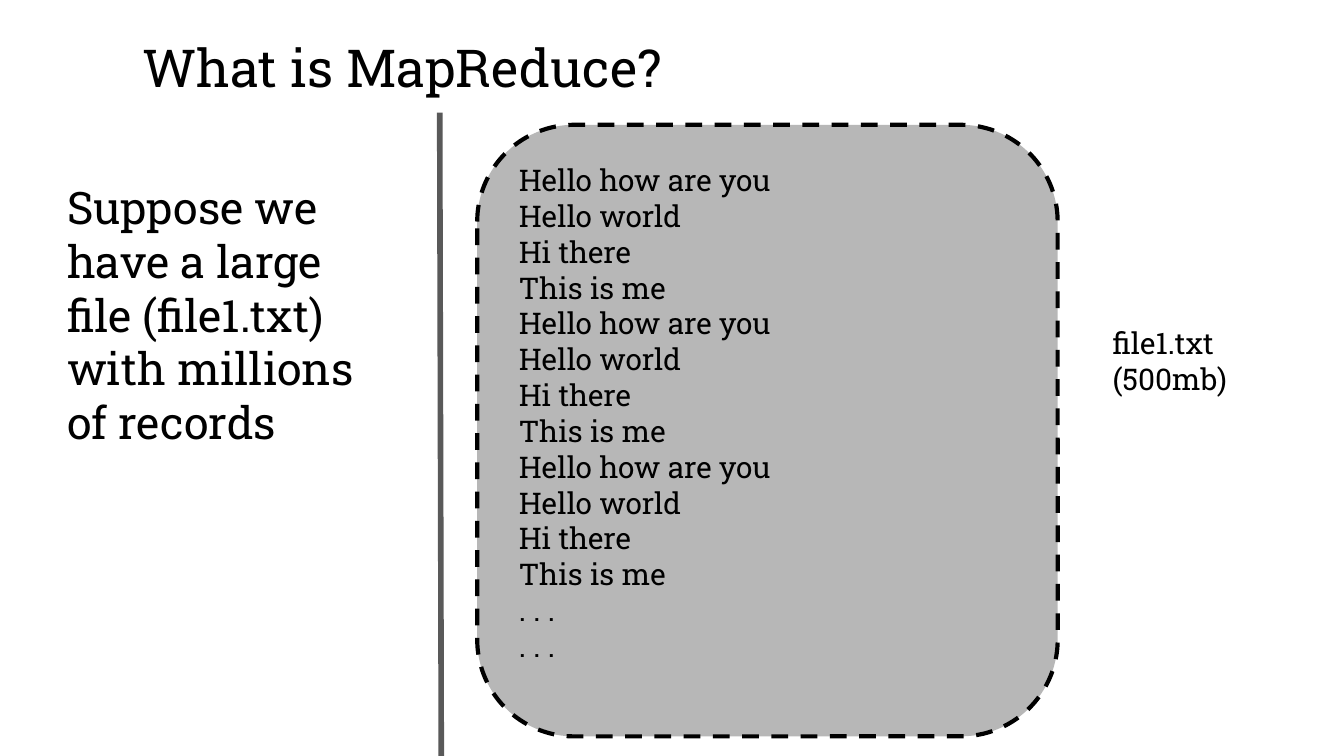
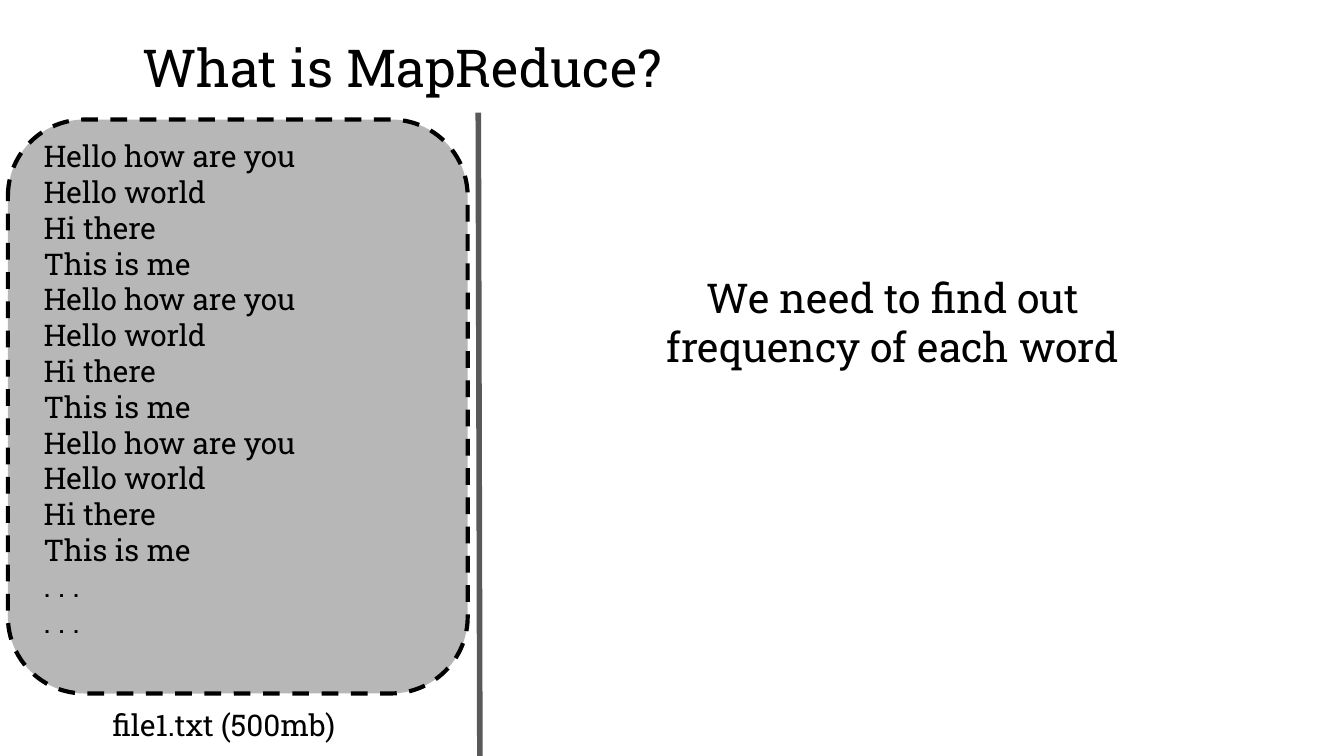
from lxml.etree import SubElement
from pptx import Presentation
from pptx.dml.color import RGBColor
from pptx.enum.dml import MSO_LINE
from pptx.enum.shapes import MSO_CONNECTOR, MSO_SHAPE
from pptx.enum.text import MSO_ANCHOR, MSO_AUTO_SIZE, PP_ALIGN
from pptx.oxml.ns import qn
from pptx.util import Cm, Pt

TITLE = "What is MapReduce?"
RECORDS = ["Hello how are you", "Hello world", "Hi there", "This is me"] * 3 + [". . ."] * 2

# Places are left, top, width, height in centimetres
PAGES = [
    {
        "divider": 8.31,
        "file": (9.02, 2.36, 10.97, 11.56),
        "texts": [
            (["Suppose we have a large file (file1.txt) with millions of records"],
             (1.02, 3.15, 6.27, 5.64), 24, PP_ALIGN.LEFT),
            (["file1.txt", "(500mb)"], (20.78, 5.89, 3.43, 1.88), 16, PP_ALIGN.LEFT),
        ],
    },
    {
        "divider": 9.04,
        "file": (0.15, 2.26, 8.69, 10.85),
        "texts": [
            (["We need to find out frequency of each word"],
             (11.73, 4.9, 10.29, 2.39), 22, PP_ALIGN.CENTER),
            (["file1.txt (500mb)"], (1.88, 13.11, 5.23, 1.19), 16, PP_ALIGN.LEFT),
        ],
    },
]

FONT = "Roboto Slab"
BLACK, DARK_GREY, LIGHT_GREY, WHITE = "000000", "595959", "B7B7B7", "FFFFFF"
TITLE_PLACE = (2.44, 0.41, 11.73, 1.7)
DIVIDER_TOP, DIVIDER_BOTTOM, DIVIDER_SLANT = 2.13, 14.43, 0.03
INSET = 0.25
RECORD_LINE = 0.68  # free line kept below the records


def paint(target, colour):
    """Give a fill one solid colour."""
    target.solid()
    target.fore_color.rgb = RGBColor.from_string(colour)


def write(frame, lines, size, align=PP_ALIGN.LEFT, **settings):
    values = {"word_wrap": True, "vertical_anchor": MSO_ANCHOR.TOP}
    values |= {f"margin_{side}": Cm(INSET) for side in ("left", "top", "right", "bottom")}
    for name, value in (values | settings).items():
        setattr(frame, name, value)
    for index, line in enumerate(lines):
        para = frame.add_paragraph() if index else frame.paragraphs[0]
        para.alignment = align
        span = para.add_run()
        span.text = line
        span.font.name, span.font.size = FONT, Pt(size)
        paint(span.font.fill, BLACK)


def add_text(page, lines, place, size, align=PP_ALIGN.LEFT):
    box = page.shapes.add_textbox(*map(Cm, place))
    write(box.text_frame, lines, size, align, auto_size=MSO_AUTO_SIZE.SHAPE_TO_FIT_TEXT)


def add_divider(page, left):
    divider = page.shapes.add_connector(
        MSO_CONNECTOR.STRAIGHT, Cm(left), Cm(DIVIDER_TOP),
        Cm(left + DIVIDER_SLANT), Cm(DIVIDER_BOTTOM))
    divider.line.width = Pt(3)
    paint(divider.line.fill, DARK_GREY)
    SubElement(divider._element.spPr, qn("a:effectLst"))


def add_file(page, place):
    """Draw the dashed box that holds the records of the file."""
    box = page.shapes.add_shape(MSO_SHAPE.ROUNDED_RECTANGLE, *map(Cm, place))
    box.shadow.inherit = False
    paint(box.fill, LIGHT_GREY)
    paint(box.line.fill, BLACK)
    box.line.width, box.line.dash_style = Pt(2.25), MSO_LINE.DASH
    write(box.text_frame, RECORDS, 16, vertical_anchor=MSO_ANCHOR.MIDDLE,
          margin_bottom=Cm(INSET + RECORD_LINE))


def main():
    deck = Presentation()
    deck.slide_width, deck.slide_height = Cm(25.4), Cm(14.29)
    for content in PAGES:
        page = deck.slides.add_slide(deck.slide_layouts[6])
        paint(page.background.fill, WHITE)
        add_text(page, [TITLE], TITLE_PLACE, 28)
        add_divider(page, content["divider"])
        add_file(page, content["file"])
        for text in content["texts"]:
            add_text(page, *text)
    deck.save("out.pptx")


if __name__ == "__main__":
    main()
